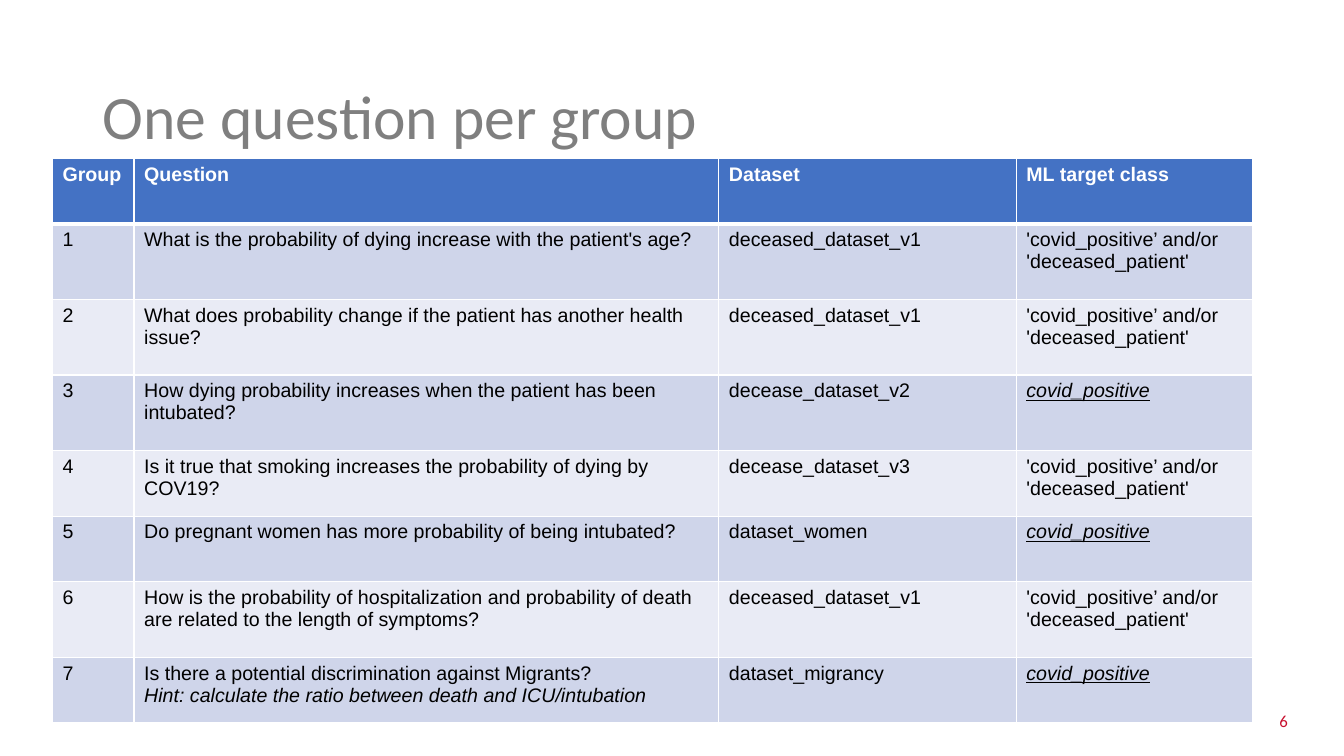
from lxml.etree import SubElement
from pptx import Presentation
from pptx.dml.color import RGBColor
from pptx.enum.text import MSO_ANCHOR
from pptx.oxml.ns import qn
from pptx.util import Inches, Pt

WHITE = RGBColor(0xFF, 0xFF, 0xFF)
BLACK = RGBColor(0x00, 0x00, 0x00)
GREY = RGBColor(0x7F, 0x7F, 0x7F)
RED = RGBColor(0xC8, 0x10, 0x2E)
BLUE = RGBColor(0x44, 0x72, 0xC4)
BAND_DARK = RGBColor(0xCF, 0xD5, 0xEA)
BAND_LIGHT = RGBColor(0xE9, 0xEB, 0xF5)

TITLE = {"name": "Calibri", "size": Pt(44)}
PAGE_NUMBER = {"name": "Calibri", "size": Pt(12)}
BODY = {"name": "Arial", "size": Pt(14), "bold": False}
HEADER = BODY | {"bold": True}
HINT = BODY | {"italic": True}
TARGET = HINT | {"underline": True}

EITHER_CLASS = "'covid_positive’ and/or 'deceased_patient'"
COVID_CLASS = "covid_positive"
HEADINGS = ["Group", "Question", "Dataset", "ML target class"]
QUESTIONS = [
    ("What is the probability of dying increase with the patient's age?",
     "deceased_dataset_v1", EITHER_CLASS),
    ("What does probability change if the patient has another health issue?",
     "deceased_dataset_v1", EITHER_CLASS),
    ("How dying probability increases when the patient has been intubated?",
     "decease_dataset_v2", COVID_CLASS),
    ("Is it true that smoking increases the probability of dying by COV19?",
     "decease_dataset_v3", EITHER_CLASS),
    ("Do pregnant women has more probability of being intubated?",
     "dataset_women", COVID_CLASS),
    ("How is the probability of hospitalization and probability of death "
     "are related to the length of symptoms?",
     "deceased_dataset_v1", EITHER_CLASS),
    ("Is there a potential discrimination against Migrants?\n"
     "Hint: calculate the ratio between death and ICU/intubation",
     "dataset_migrancy", COVID_CLASS),
]
COLUMN_WIDTHS = [0.81, 5.8, 2.95, 2.34]
ROW_HEIGHTS = [0.65, 0.75, 0.75, 0.75, 0.65, 0.65, 0.75, 0.65]


class SlideBuilder:
    def __init__(self, slide):
        self.slide = slide

    def styled_run(self, paragraph, text, style, color):
        run = paragraph.add_run()
        run.text = text
        for attribute, value in style.items():
            setattr(run.font, attribute, value)
        run.font.color.rgb = color

    def text(self, box, text, style, color, anchor=MSO_ANCHOR.TOP, spacing=None):
        frame = self.slide.shapes.add_textbox(*map(Inches, box)).text_frame
        frame.word_wrap = True
        frame.vertical_anchor = anchor
        paragraph = frame.paragraphs[0]
        paragraph.line_spacing = spacing
        self.styled_run(paragraph, text, style, color)

    def borders(self, cell, row):
        properties = cell._tc.get_or_add_tcPr()
        widths = {"L": 1, "R": 1, "T": 3 if row == 1 else 1, "B": 3 if row == 0 else 1}
        for side, width in widths.items():
            line = SubElement(properties, qn(f"a:ln{side}"), w=str(Pt(width)))
            fill = SubElement(line, qn("a:solidFill"))
            SubElement(fill, qn("a:srgbClr"), val=str(WHITE))

    def cell(self, cell, row, text):
        self.borders(cell, row)
        cell.fill.solid()
        cell.fill.fore_color.rgb = BLUE if row == 0 else BAND_DARK if row % 2 else BAND_LIGHT
        frame = cell.text_frame
        for index, line in enumerate(text.split("\n")):
            paragraph = frame.add_paragraph() if index else frame.paragraphs[0]
            style = (HEADER if row == 0 else TARGET if line == COVID_CLASS
                     else HINT if index else BODY)
            self.styled_run(paragraph, line, style, WHITE if row == 0 else BLACK)

    def table(self, left, top, widths, heights, rows):
        table = self.slide.shapes.add_table(
            len(heights), len(widths), Inches(left), Inches(top),
            Inches(sum(widths)), Inches(sum(heights))).table
        for column, width in zip(table.columns, widths):
            column.width = Inches(width)
        for row, (height, texts) in enumerate(zip(heights, rows)):
            table.rows[row].height = Inches(height)
            for column, text in enumerate(texts):
                self.cell(table.cell(row, column), row, text)


def main():
    presentation = Presentation()
    presentation.slide_width = Inches(13.33)
    presentation.slide_height = Inches(7.5)
    builder = SlideBuilder(presentation.slides.add_slide(presentation.slide_layouts[6]))
    builder.text((12.59, 7, 0.45, 0.3), "6", PAGE_NUMBER, RED)
    builder.text((0.92, 0.46, 11.5, 1.45), "One question per group", TITLE, GREY,
                 MSO_ANCHOR.MIDDLE, 0.9)
    groups = [(str(number), *question) for number, question in enumerate(QUESTIONS, 1)]
    builder.table(0.52, 1.57, COLUMN_WIDTHS, ROW_HEIGHTS, [HEADINGS, *groups])
    presentation.save("out.pptx")


if __name__ == "__main__":
    main()
